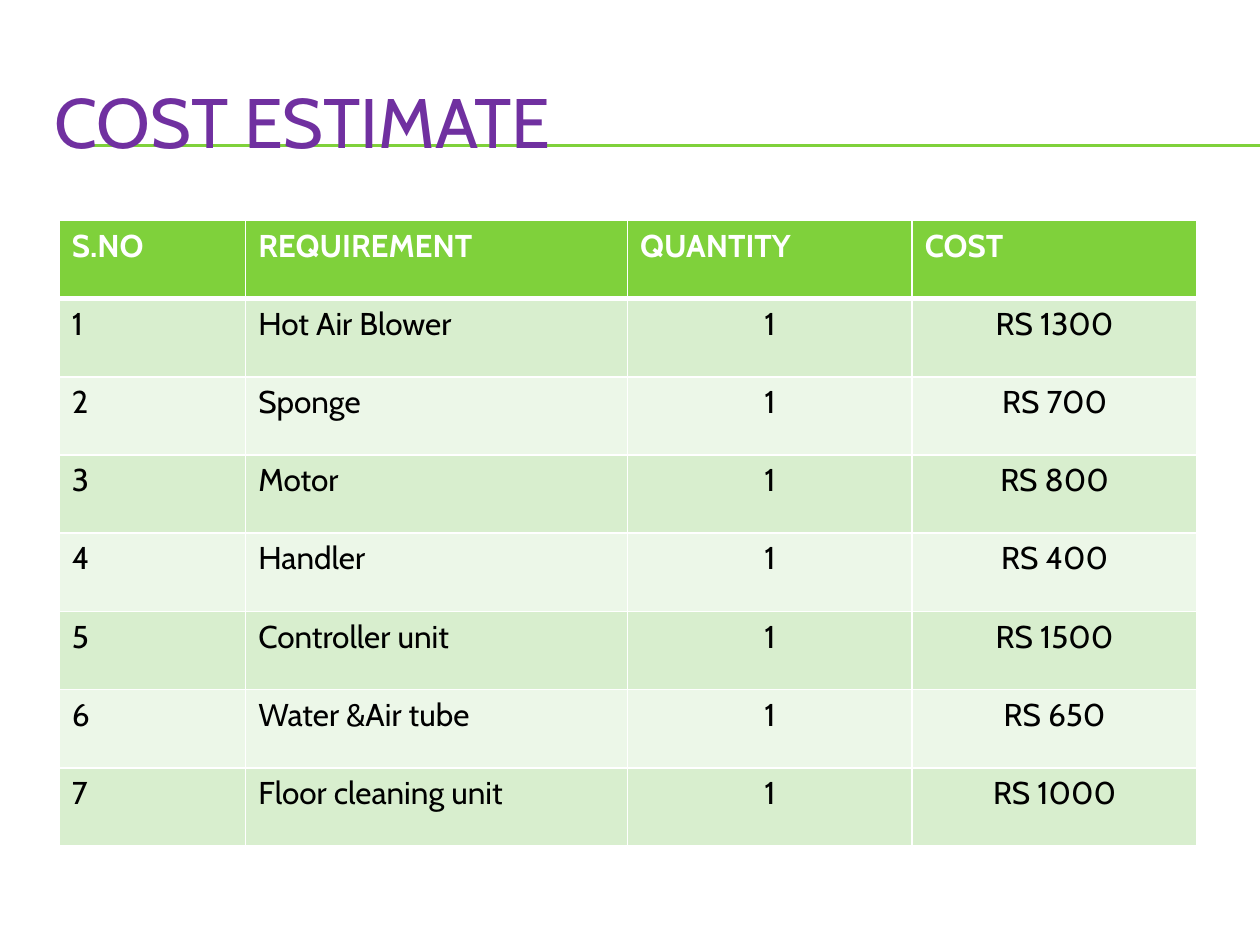
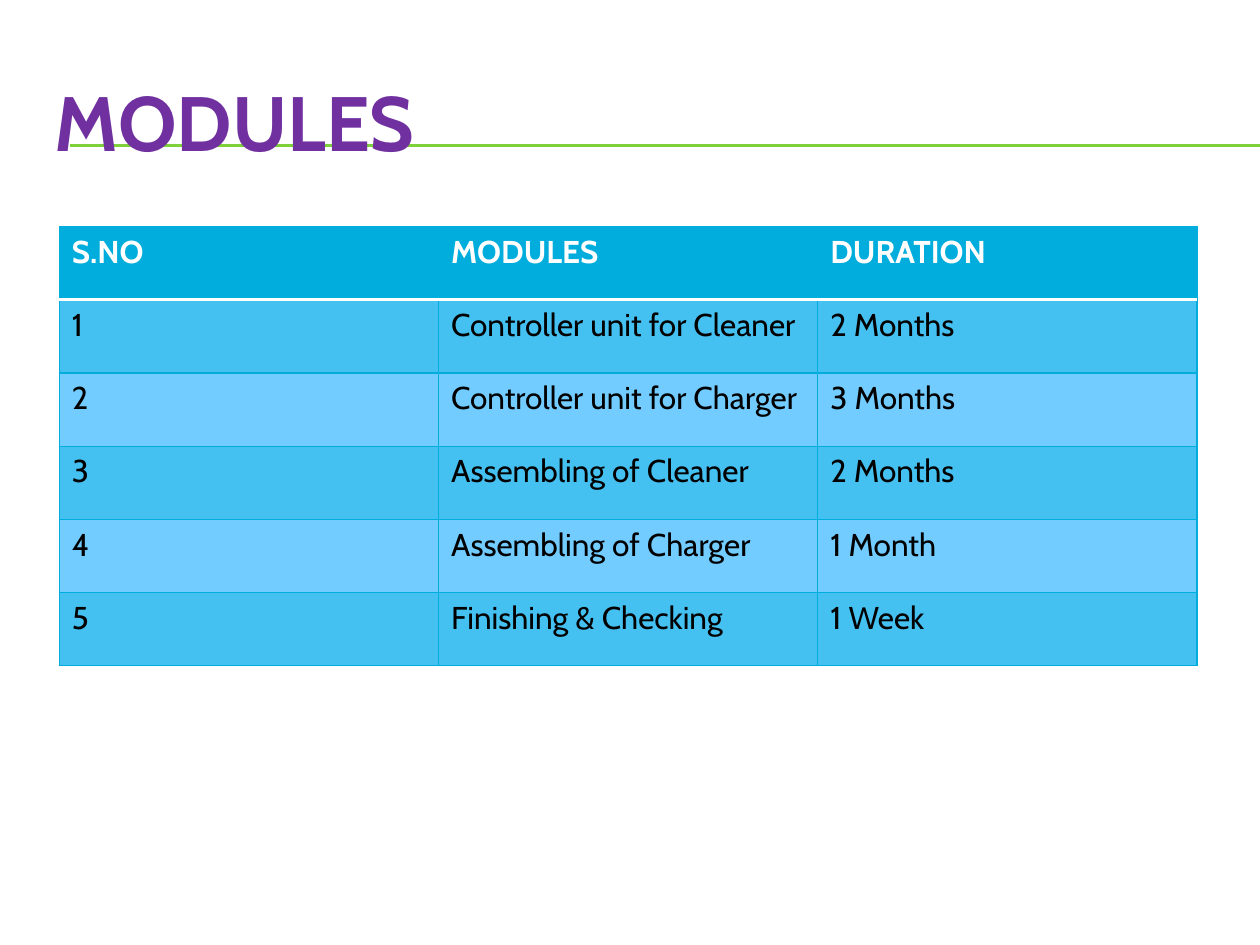
"""Build two slides: a cost estimate table and a module schedule table."""
import lxml.etree
import pptx
import pptx.dml.color
import pptx.enum.shapes
import pptx.enum.text
import pptx.oxml.ns
import pptx.util

Pt = pptx.util.Pt
ALIGN = pptx.enum.text.PP_ALIGN
qn = pptx.oxml.ns.qn

FONT = "Cabin"
PURPLE, GREEN, BLUE, WHITE, BLACK = "7030A0", "7FD13B", "00ADDC", "FFFFFF", "000000"
SLIDE_WIDTH, SLIDE_HEIGHT = 720, 540
TABLE_LEFT = 33.9
RULE_LEFT, RULE_TOPS = 40.3, (82.8, 83.5)

COST_ESTIMATE = {
    "title": "COST ESTIMATE", "title_size": 40, "title_bold": False,
    "top": 126, "row_height": 44.7, "widths": [106.5, 218.2, 162.7, 162.7],
    "centred": {2, 3},
    "header_fill": GREEN, "bands": ("D8EECE", "ECF7E8"),
    "border": (WHITE, 1), "header_border": (WHITE, 1), "header_rule": (WHITE, 3),
    "header": ["S.NO", "REQUIREMENT", "QUANTITY", "COST"],
    "rows": [
        ("Hot Air Blower", "1", "RS 1300"),
        ("Sponge", "1", "RS 700"),
        ("Motor", "1", "RS 800"),
        ("Handler", "1", "RS 400"),
        ("Controller unit", "1", "RS 1500"),
        ("Water &Air tube", "1", "RS 650"),
        ("Floor cleaning unit", "1", "RS 1000"),
    ],
}
MODULES = {
    "title": "MODULES", "title_size": 44, "title_bold": True,
    "top": 129.6, "row_height": 41.8, "widths": [216.7] * 3,
    "centred": set(),
    "header_fill": BLUE, "bands": ("44C0F1", "72CCFF"),
    "border": (BLUE, 0.79), "header_border": (BLUE, 0.79), "header_rule": (WHITE, 2),
    "header": ["S.NO", "MODULES", "DURATION"],
    "rows": [
        ("Controller unit for Cleaner", "2 Months"),
        ("Controller unit for Charger", "3 Months"),
        ("Assembling of Cleaner", "2 Months"),
        ("Assembling of Charger", "1 Month"),
        ("Finishing & Checking", "1 Week"),
    ],
}


def rgb(color):
    return pptx.dml.color.RGBColor.from_string(color)


def set_text(text_frame, text, size, color, bold, alignment=ALIGN.LEFT):
    text_frame.text = text
    paragraph = text_frame.paragraphs[0]
    paragraph.alignment = alignment
    font = paragraph.runs[0].font
    font.name, font.size, font.bold = FONT, Pt(size), bold
    font.color.rgb = rgb(color)


def add_title(slide, content):
    title = slide.shapes.title
    title.left, title.top, title.width, title.height = Pt(24), Pt(36), Pt(684), Pt(66)
    title.text_frame.auto_size = pptx.enum.text.MSO_AUTO_SIZE.NONE
    title.text_frame.vertical_anchor = pptx.enum.text.MSO_ANCHOR.MIDDLE
    set_text(title.text_frame, content["title"], content["title_size"], PURPLE, content["title_bold"])


def add_title_rules(slide):
    for top in RULE_TOPS:
        rule = slide.shapes.add_connector(
            pptx.enum.shapes.MSO_CONNECTOR.STRAIGHT,
            Pt(RULE_LEFT), Pt(top), Pt(SLIDE_WIDTH), Pt(top))
        rule.line.color.rgb = rgb(GREEN)
        rule.line.width = Pt(0.75)
        lxml.etree.SubElement(rule.element.spPr, qn("a:effectLst"))
        slide.shapes.title.element.addprevious(rule.element)


def set_borders(cell, left, right, top, bottom):
    properties = cell._tc.get_or_add_tcPr()
    for side, (color, width) in zip("LRTB", (left, right, top, bottom)):
        line = lxml.etree.SubElement(properties, qn(f"a:ln{side}"), w=str(int(Pt(width))))
        fill = lxml.etree.SubElement(line, qn("a:solidFill"))
        lxml.etree.SubElement(fill, qn("a:srgbClr"), val=color)


def add_table(slide, content):
    numbered = [(str(number), *row) for number, row in enumerate(content["rows"], 1)]
    rows = [content["header"], *numbered]
    widths, row_height = content["widths"], content["row_height"]
    table = slide.shapes.add_table(
        len(rows), len(widths), Pt(TABLE_LEFT), Pt(content["top"]),
        Pt(sum(widths)), Pt(row_height * len(rows))).table
    for column, width in zip(table.columns, widths):
        column.width = Pt(width)
    for row_index, values in enumerate(rows):
        table.rows[row_index].height = Pt(row_height)
        is_header = row_index == 0
        side = content["header_border" if is_header else "border"]
        top = content["header_rule"] if row_index == 1 else side
        bottom = content["header_rule"] if is_header else side
        fill = content["header_fill"] if is_header else content["bands"][(row_index - 1) % 2]
        for column_index, value in enumerate(values):
            cell = table.cell(row_index, column_index)
            centred = not is_header and column_index in content["centred"]
            set_text(cell.text_frame, value, 18, WHITE if is_header else BLACK, is_header,
                     ALIGN.CENTER if centred else ALIGN.LEFT)
            set_borders(cell, side, side, top, bottom)
            cell.fill.solid()
            cell.fill.fore_color.rgb = rgb(fill)


def main():
    presentation = pptx.Presentation()
    presentation.slide_width, presentation.slide_height = Pt(SLIDE_WIDTH), Pt(SLIDE_HEIGHT)
    title_only = presentation.slide_layouts.get_by_name("Title Only")
    for content in (COST_ESTIMATE, MODULES):
        slide = presentation.slides.add_slide(title_only)
        add_title(slide, content)
        add_title_rules(slide)
        add_table(slide, content)
    presentation.save("out.pptx")


if __name__ == "__main__":
    main()
